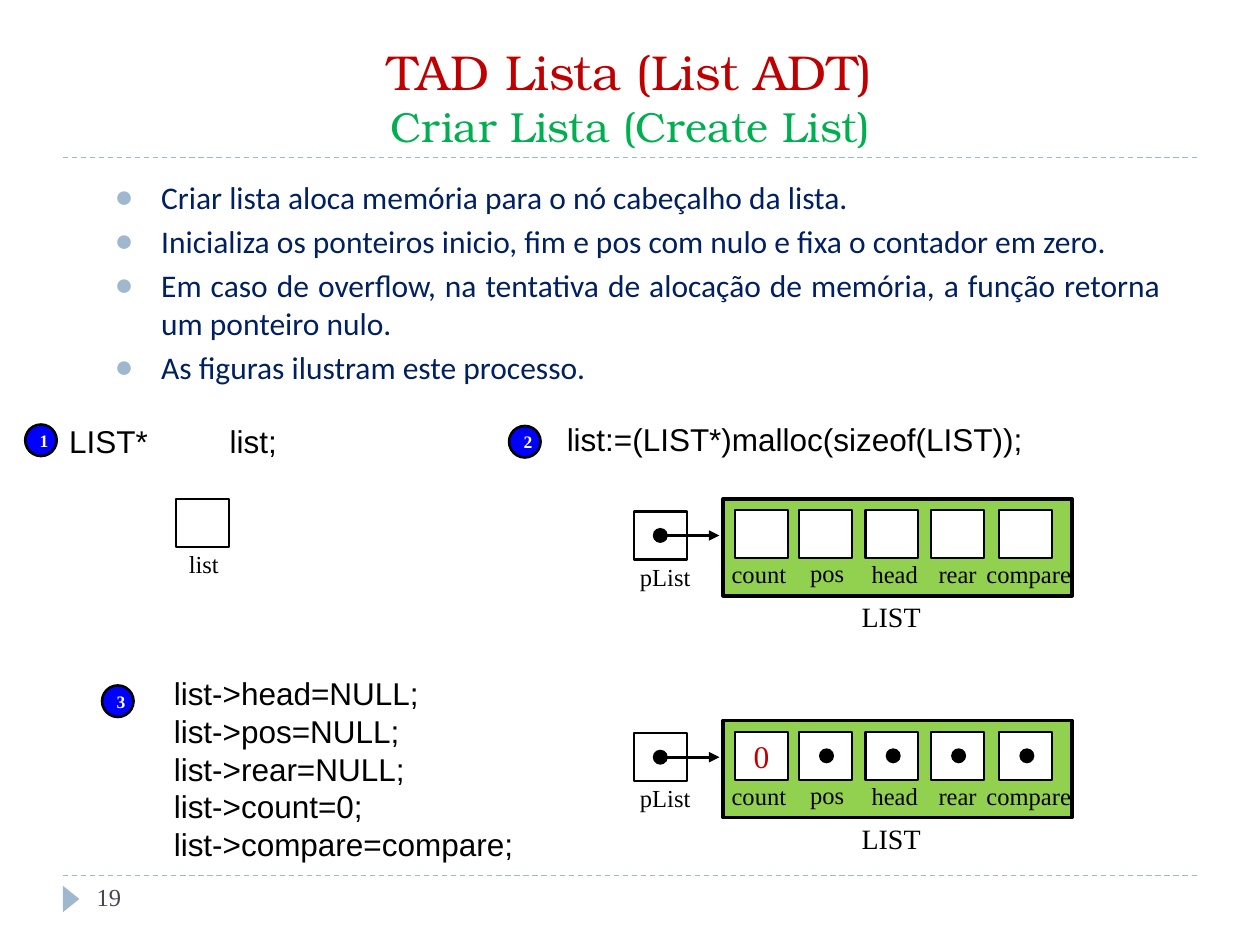
"""Build the slide that explains how a list is created."""
from lxml.etree import SubElement
from pptx import Presentation
from pptx.dml.color import RGBColor
from pptx.enum.dml import MSO_LINE
from pptx.enum.shapes import MSO_CONNECTOR, MSO_SHAPE
from pptx.enum.text import MSO_ANCHOR, MSO_AUTO_SIZE, PP_ALIGN
from pptx.oxml.ns import qn
from pptx.util import Pt

COLOURS = {
    "red": "C00000", "green": "00B050", "navy": "002060", "blue": "0000FF",
    "steel": "9FB8CD", "slate": "464653", "lime": "92D050",
    "black": "000000", "white": "FFFFFF",
}
SERIF = "Times New Roman"
BULLETS = [
    "Criar lista aloca memória para o nó cabeçalho da lista.",
    "Inicializa os ponteiros inicio, fim e pos com nulo e fixa o contador em zero.",
    "Em caso de overflow, na tentativa de alocação de memória, a função retorna um ponteiro nulo.",
    "As figuras ilustram este processo.",
]
ASSIGNMENTS = [
    "list->head=NULL;", "list->pos=NULL;", "list->rear=NULL;",
    "list->count=0;", "list->compare=compare;",
]
FIELDS = [
    ("count", 420, 411, 46), ("pos", 456.5, 455.8, 34.6),
    ("head", 494.6, 491, 41), ("rear", 532, 529.2, 36.7),
    ("compare", 571, 556.6, 63.4),
]


def colour(name):
    return RGBColor.from_string(COLOURS[name])


def place(item, left, top, width, height):
    item.left, item.top, item.width, item.height = map(Pt, (left, top, width, height))


def write(para, text, size=14, font=SERIF, ink="black", bold=False):
    span = para.add_run()
    span.text = text
    span.font.size = Pt(size)
    span.font.name = font
    span.font.bold = bold
    span.font.color.rgb = colour(ink)


def add_text(shapes, lines, left, top, width, height, wrap=False, tab=None, **style):
    box = shapes.add_textbox(Pt(left), Pt(top), Pt(width), Pt(height))
    frame = box.text_frame
    frame.word_wrap = wrap
    frame.auto_size = MSO_AUTO_SIZE.SHAPE_TO_FIT_TEXT
    for index, line in enumerate(lines):
        para = frame.add_paragraph() if index else frame.paragraphs[0]
        if tab:
            stops = SubElement(para._p.get_or_add_pPr(), qn("a:tabLst"))
            SubElement(stops, qn("a:tab"), pos=str(Pt(tab)), algn="l")
        write(para, line, **style)


def add_figure(shapes, kind, left, top, width, height, fill, line=None, text="", **style):
    figure = shapes.add_shape(kind, Pt(left), Pt(top), Pt(width), Pt(height))
    figure.shadow.inherit = False
    figure.fill.solid()
    figure.fill.fore_color.rgb = colour(fill)
    if line:
        figure.line.color.rgb = colour("black")
        figure.line.width = Pt(line)
    else:
        figure.line.fill.background()
    if text:
        figure.text_frame.vertical_anchor = MSO_ANCHOR.MIDDLE
        para = figure.text_frame.paragraphs[0]
        para.alignment = PP_ALIGN.CENTER
        write(para, text, **style)
    return figure


def add_cell(shapes, left, top, text="", **style):
    add_figure(shapes, MSO_SHAPE.RECTANGLE, left, top, 30.2, 27.4, "white", 1.25, text, **style)


def add_dot(shapes, left, top):
    add_figure(shapes, MSO_SHAPE.OVAL, left, top, 8.6, 8.6, "black")


def add_badge(shapes, number, left, top):
    add_figure(shapes, MSO_SHAPE.OVAL, left, top, 18, 18, "blue", 1.5, number,
               size=10, ink="white", bold=True)


def add_line(shapes, left, right, top, ink, width):
    line = shapes.add_connector(MSO_CONNECTOR.STRAIGHT, Pt(left), Pt(top), Pt(right), Pt(top))
    line.line.color.rgb = colour(ink)
    line.line.width = Pt(width)
    SubElement(line._element.spPr, qn("a:effectLst"))
    return line


def add_arrow(shapes, left, right, top):
    arrow = add_line(shapes, left, right, top, "black", 1.5)
    SubElement(arrow.line._get_or_add_ln(), qn("a:tailEnd"), type="triangle")


def add_node(page, top, filled):
    shapes = page.shapes.add_group_shape().shapes
    add_cell(shapes, 362.2, top + 7.2)
    add_text(shapes, ["pList"], 358.6, top + 32.4, 43.9, 24.5)
    add_arrow(shapes, 377.3, 411.1, top + 20.9)
    add_dot(shapes, 373, top + 16.6)
    add_text(shapes, ["LIST"], 485.3, top + 54, 49, 26.6, size=16)
    add_figure(shapes, MSO_SHAPE.RECTANGLE, 413.3, top, 199.4, 55.4, "lime", 2)
    for name, left, label_left, label_width in FIELDS:
        counter = filled and name == "count"
        add_cell(shapes, left, top + 6.5, "0" if counter else "", size=18, ink="red")
        label_top = top + (30.2 if name == "pos" else 31)
        add_text(shapes, [name], label_left, label_top, label_width, 24.5)
        if filled and not counter:
            add_dot(shapes, left + 11.5, top + 15.8)


def fill_title(page):
    title = page.shapes.title
    place(title, 36, 18, 648, 72)
    frame = title.text_frame
    frame.auto_size = MSO_AUTO_SIZE.NONE
    frame.vertical_anchor = MSO_ANCHOR.BOTTOM
    para = frame.paragraphs[0]
    para.alignment = PP_ALIGN.CENTER
    write(para, "TAD Lista (List ADT)", size=28, font="TeX Gyre Bonum", ink="red")
    para.add_line_break()
    write(para, "Criar Lista (Create List)", size=24, font="TeX Gyre Bonum", ink="green")


def fill_body(page):
    body = page.placeholders[1]
    place(body, 58.3, 98, 612, 135.4)
    frame = body.text_frame
    frame.auto_size = MSO_AUTO_SIZE.NONE
    for index, line in enumerate(BULLETS):
        para = frame.add_paragraph() if index else frame.paragraphs[0]
        para.alignment = PP_ALIGN.JUSTIFY
        para.space_before = Pt(3.6 if index else 0)
        settings = para._p.get_or_add_pPr()
        settings.set("marL", str(Pt(26.6)))
        settings.set("indent", str(Pt(-26.6)))
        ink = SubElement(settings, qn("a:buClr"))
        SubElement(ink, qn("a:srgbClr"), val=COLOURS["steel"])
        SubElement(settings, qn("a:buFont"), typeface="Arial")
        SubElement(settings, qn("a:buChar"), char="●")
        write(para, line, size=18, font="Calibri", ink="navy")


def main():
    deck = Presentation()
    deck.slide_width, deck.slide_height = Pt(720), Pt(540)
    page = deck.slides.add_slide(deck.slide_layouts[1])
    shapes = page.shapes
    for top in (500.4, 90):
        add_line(shapes, 36, 684, top, "steel", 0.75).line.dash_style = MSO_LINE.DASH
    marker = add_figure(shapes, MSO_SHAPE.ISOSCELES_TRIANGLE, 33.1, 509, 15.1, 9.4, "steel")
    marker.rotation = 90
    fill_title(page)
    add_text(shapes, ["19"], 48.2, 500.4, 156, 28.8, wrap=True, ink="slate")
    fill_body(page)

    add_cell(shapes, 100.8, 285.1)
    add_text(shapes, ["list"], 100.8, 310.3, 31.7, 24.5)
    code = {"size": 18, "font": "Arial"}
    add_text(shapes, ["LIST*\tlist;"], 32.4, 237.6, 134.6, 28.8, wrap=True, tab=91.8, **code)
    add_text(shapes, ["list:=(LIST*)malloc(sizeof(LIST));"], 316.8, 236.2, 277.9, 28.8, **code)
    add_text(shapes, ASSIGNMENTS, 92.2, 381.6, 210.2, 116.6, **code)
    for number, left, top in (("1", 14.4, 242.6), ("2", 290.9, 243.4), ("3", 58.3, 391.7)):
        add_badge(shapes, number, left, top)
    add_node(page, 411.8, filled=True)
    add_node(page, 285.1, filled=False)
    deck.save("out.pptx")


if __name__ == "__main__":
    main()
